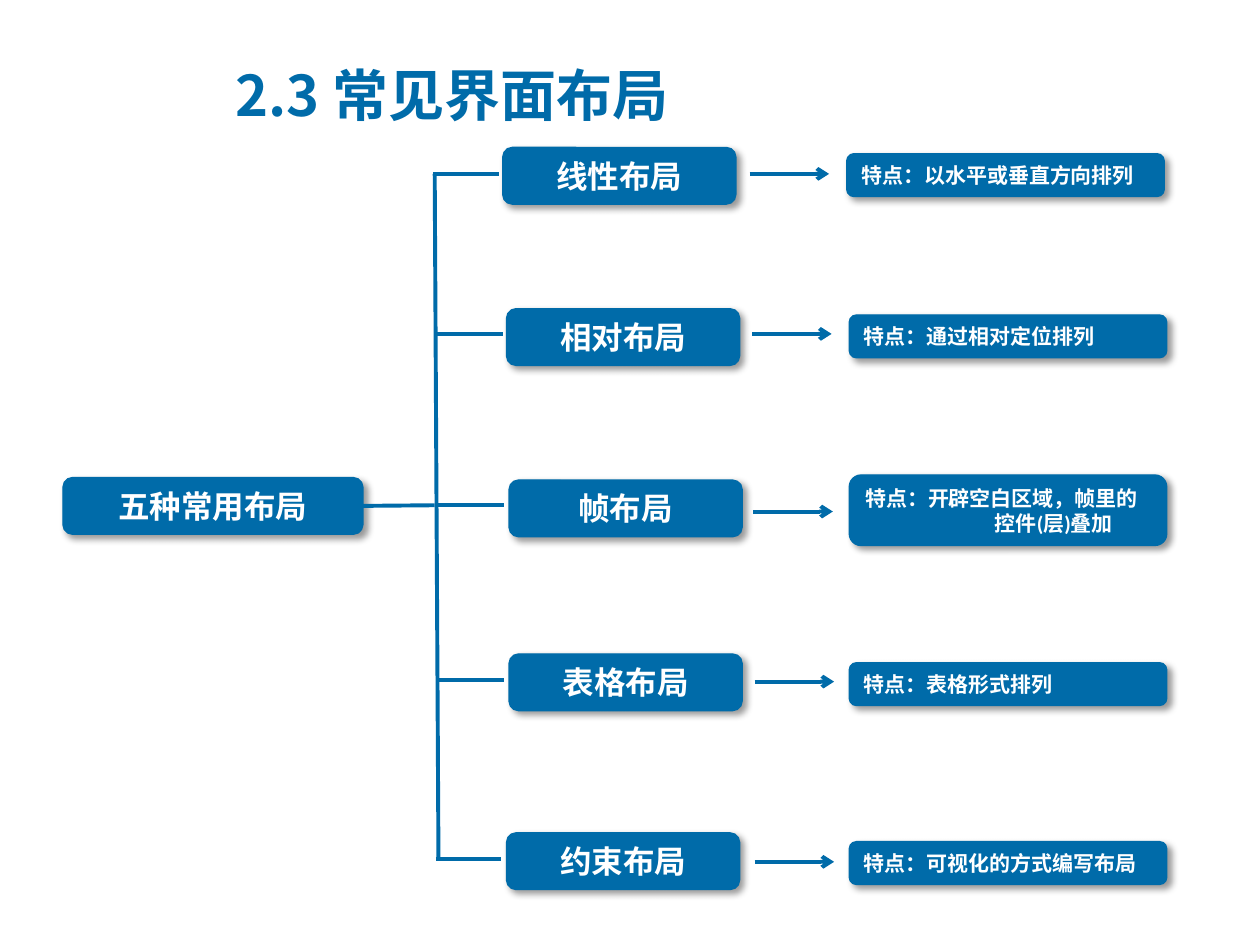
from dataclasses import dataclass

from lxml import etree
from pptx import Presentation
from pptx.dml.color import RGBColor
from pptx.enum.shapes import MSO_CONNECTOR, MSO_SHAPE
from pptx.enum.text import MSO_ANCHOR, MSO_AUTO_SIZE, PP_ALIGN
from pptx.oxml import parse_xml
from pptx.oxml.ns import nsdecls, qn
from pptx.util import Inches, Pt

BLUE = RGBColor(0x00, 0x6B, 0xA9)
WHITE = RGBColor(0xFF, 0xFF, 0xFF)
LATIN, CJK = "Calibri", "Noto Sans CJK SC"
ROUND_RECT = MSO_SHAPE.ROUNDED_RECTANGLE
STRAIGHT = MSO_CONNECTOR.STRAIGHT
MIDDLE = MSO_ANCHOR.MIDDLE
LEFT, CENTER = PP_ALIGN.LEFT, PP_ALIGN.CENTER
NO_AUTOSIZE = MSO_AUTO_SIZE.NONE

NAME_W, NAME_H = 1.85, 0.45
NOTE_W = 2.52
BRANCH_LEN, ARROW_LEN = 0.52, 0.63
SECOND_LINE_INDENT = 1.03

SHADOW = (
    f'<a:effectLst {nsdecls("a")}>'
    f'<a:outerShdw blurRad="{Pt(4)}" dist="{Pt(3)}" dir="2700000" algn="tl" rotWithShape="0">'
    '<a:srgbClr val="000000"><a:alpha val="40000"/></a:srgbClr>'
    '</a:outerShdw></a:effectLst>'
)


@dataclass
class Layout:
    name: str
    note: list[str]
    name_at: tuple[float, float]
    note_at: tuple[float, float]
    branch_at: tuple[float, float]
    arrow_at: tuple[float, float]
    note_h: float = 0.34


LAYOUTS = [
    Layout("线性布局", ["特点：以水平或垂直方向排列"],
           (3.99, 1.17), (6.72, 1.22), (3.44, 1.38), (5.95, 1.38)),
    Layout("相对布局", ["特点：通过相对定位排列"],
           (4.02, 2.45), (6.74, 2.5), (3.47, 2.65), (5.97, 2.65)),
    Layout("帧布局", ["特点：开辟空白区域，帧里的", "控件(层)叠加"],
           (4.04, 3.81), (6.74, 3.77), (3.48, 4.01), (5.98, 4.06), 0.56),
    Layout("表格布局", ["特点：表格形式排列"],
           (4.04, 5.19), (6.74, 5.26), (3.48, 5.4), (5.99, 5.41)),
    Layout("约束布局", ["特点：可视化的方式编写布局"],
           (4.02, 6.61), (6.74, 6.68), (3.46, 6.82), (5.99, 6.84)),
]


def write(p, text: str, size: float, color: RGBColor, latin: str) -> None:
    r = p.add_run()
    r.text = text
    for key, value in dict(name=latin, size=Pt(size), bold=True).items():
        setattr(r.font, key, value)
    r.font.color.rgb = color
    etree.SubElement(r._r.get_or_add_rPr(), qn("a:ea"), typeface=CJK)


def add_box(s, at: tuple[float, float], w: float, h: float,
            lines: list[str], size: float, align):
    sp = s.shapes.add_shape(ROUND_RECT, *map(Inches, (*at, w, h)))
    sp.fill.solid()
    sp.fill.fore_color.rgb = BLUE
    sp.line.color.rgb = BLUE
    sp.line.width = Pt(0.75)
    sp._element.spPr.append(parse_xml(SHADOW))
    tf = sp.text_frame
    tf.word_wrap = True
    tf.vertical_anchor = MIDDLE
    for i, text in enumerate(lines):
        p = tf.add_paragraph() if i else tf.paragraphs[0]
        p.alignment = align
        if i:
            p._p.get_or_add_pPr().set("marL", str(Inches(SECOND_LINE_INDENT)))
        write(p, text, size, WHITE, LATIN)
    return sp


def add_line(s, start: tuple[float, float], end: tuple[float, float], arrow: bool = False):
    line = s.shapes.add_connector(STRAIGHT, *map(Inches, (*start, *end)))
    line.line.color.rgb = BLUE
    line.line.width = Pt(2.25)
    if arrow:
        etree.SubElement(line.line._get_or_add_ln(), qn("a:tailEnd"), type="arrow")
    etree.SubElement(line._element.spPr, qn("a:effectLst"))
    return line


def add_title(s, text: str) -> None:
    title = s.shapes.title
    box = dict(left=1.77, top=0.44, width=5.41, height=0.61)
    for key, value in box.items():
        setattr(title, key, Inches(value))
    tf = title.text_frame
    for key, value in dict(word_wrap=True, auto_size=NO_AUTOSIZE, vertical_anchor=MIDDLE).items():
        setattr(tf, key, value)
    p = tf.paragraphs[0]
    p.alignment = LEFT
    pPr = p._p.get_or_add_pPr()
    pPr.set("marL", str(Inches(0.62)))
    pPr.set("indent", str(Inches(-0.62)))
    write(p, text, 32, BLUE, CJK)


def main() -> None:
    prs = Presentation()
    prs.slide_width, prs.slide_height = Inches(10), Inches(7.5)
    s = prs.slides.add_slide(prs.slide_layouts[5])
    add_title(s, "2.3 常见界面布局")

    root = add_box(s, (0.5, 3.79), 2.38, 0.45, ["五种常用布局"], 18, CENTER)
    add_line(s, (3.45, 1.38), (3.48, 6.82))
    add_line(s, (2.88, 4.01), (3.45, 4.01)).begin_connect(root, 3)

    for item in LAYOUTS:
        x, y = item.branch_at
        add_line(s, (x, y), (x + BRANCH_LEN, y))
        add_box(s, item.name_at, NAME_W, NAME_H, [item.name], 18, CENTER)
        x, y = item.arrow_at
        add_line(s, (x, y), (x + ARROW_LEN, y), arrow=True)
        add_box(s, item.note_at, NOTE_W, item.note_h, item.note, 12, LEFT)

    prs.save("out.pptx")


if __name__ == "__main__":
    main()
